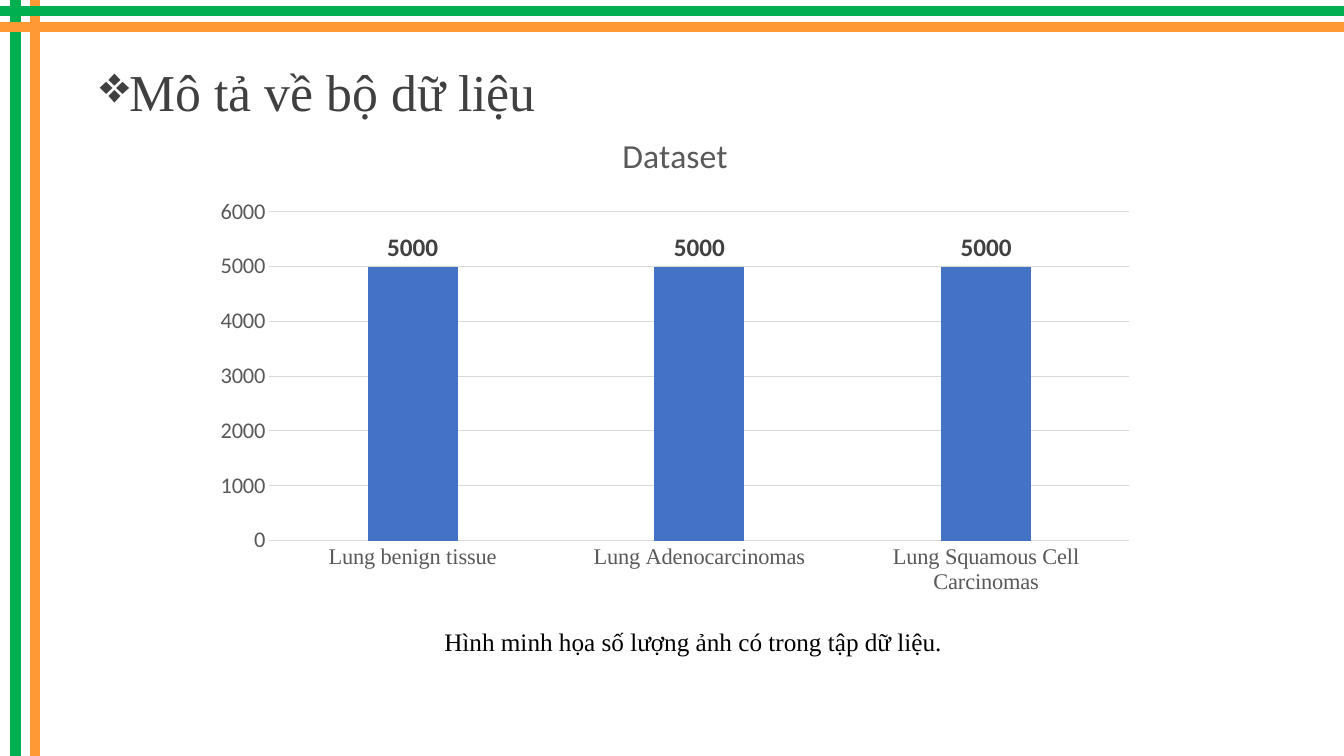
from lxml import etree
from pptx import Presentation
from pptx.chart.data import CategoryChartData
from pptx.dml.color import RGBColor
from pptx.enum.chart import XL_CHART_TYPE, XL_LABEL_POSITION, XL_TICK_MARK
from pptx.enum.shapes import MSO_SHAPE
from pptx.enum.text import MSO_ANCHOR, MSO_AUTO_SIZE, PP_ALIGN
from pptx.oxml.ns import qn
from pptx.util import Inches, Pt

COLUMN = XL_CHART_TYPE.COLUMN_CLUSTERED
OUTSIDE = XL_LABEL_POSITION.OUTSIDE_END
NO_TICK = XL_TICK_MARK.NONE
RECT = MSO_SHAPE.RECTANGLE
TOP = MSO_ANCHOR.TOP
FIT = MSO_AUTO_SIZE.SHAPE_TO_FIT_TEXT
LEFT, CENTER = PP_ALIGN.LEFT, PP_ALIGN.CENTER

# Content
TITLE = "Mô tả về bộ dữ liệu"
BULLET = "❖"
CAPTION = "Hình minh họa số lượng ảnh có trong tập dữ liệu."
HEAD = "Dataset"
DATA = {
    "Lung benign tissue": 5000,
    "Lung Adenocarcinomas": 5000,
    "Lung Squamous Cell Carcinomas": 5000,
}
SERIF, SANS = "Times New Roman", "Calibri"
COLORS = {
    "green": "00B050", "orange": "FF9933", "blue": "4472C4", "black": "000000",
    "dark": "404040", "gray": "595959", "grid": "D9D9D9",
}

# Layout in inches
WIDE, HIGH = 13.33, 7.5
BODY_X, BODY_W = 2, 9.39
CHART_Y, CHART_H = 1.11, 4.89
BAND_H, BAND_W = 14.51, 8.52
# colour, left of upright bar, its top, top of level bar
BANDS = [("green", 0.11, -0.51, 0.07), ("orange", 0.3, -0.31, 0.23)]


def rgb(name):
    return RGBColor.from_string(COLORS[name])


def box(*sides):
    return [Inches(side) for side in sides]


def style(font, face, size, color, bold=False):
    font.name, font.size, font.bold = face, Pt(size), bold
    font.color.rgb = rgb(color)


def write(para, text, face, size, color):
    run = para.add_run()
    run.text = text
    style(run.font, face, size, color)


def bar(slide, color, *place):
    shape = slide.shapes.add_shape(RECT, *box(*place))
    shape.shadow.inherit = False
    shape.fill.solid()
    shape.fill.fore_color.rgb = rgb(color)
    shape.line.color.rgb = rgb(color)
    shape.line.width = Pt(1)


def add_title(slide):
    title = slide.shapes.title
    title.left, title.top, title.width, title.height = box(0.89, 0.54, 4.86, 0.72)
    frame = title.text_frame
    frame.word_wrap, frame.auto_size = False, FIT
    frame.vertical_anchor = TOP
    para = frame.paragraphs[0]
    para.alignment = LEFT
    write(para, TITLE, SERIF, 37, "dark")
    props = para._p.get_or_add_pPr()
    props.set("marL", str(Inches(0.25)))
    props.set("indent", str(-Inches(0.25)))
    etree.SubElement(props, qn("a:buChar")).set("char", BULLET)


def add_caption(slide):
    frame = slide.shapes.add_textbox(*box(BODY_X + 0.18, 6.16, BODY_W, 0.4)).text_frame
    frame.word_wrap, frame.auto_size = True, FIT
    para = frame.paragraphs[0]
    para.alignment = CENTER
    write(para, CAPTION, SERIF, 18, "black")


def add_chart(slide):
    data = CategoryChartData()
    data.categories = list(DATA)
    data.add_series("Series 1", list(DATA.values()))
    place = box(BODY_X, CHART_Y, BODY_W, CHART_H)
    chart = slide.shapes.add_chart(COLUMN, *place, data).chart
    style(chart.font, SANS, 10, "black")
    chart.has_legend = False
    chart.has_title = True
    write(chart.chart_title.text_frame.paragraphs[0], HEAD, SANS, 24, "gray")
    chart.chart_title.include_in_layout = False

    # Axes
    cats, vals = chart.category_axis, chart.value_axis
    for axis, face in ((cats, SERIF), (vals, SANS)):
        axis.major_tick_mark = axis.minor_tick_mark = NO_TICK
        style(axis.tick_labels.font, face, 16, "gray")
    vals.minimum_scale, vals.maximum_scale, vals.major_unit = 0, 6000, 1000
    vals.has_major_gridlines = True
    vals.format.line.fill.background()
    for line in (cats.format.line, vals.major_gridlines.format.line):
        line.color.rgb = rgb("grid")
        line.width = Pt(0.75)

    # Columns and their labels
    plot = chart.plots[0]
    plot.gap_width, plot.overlap, plot.vary_by_categories = 219, -27, False
    series = plot.series[0]
    series.format.fill.solid()
    series.format.fill.fore_color.rgb = rgb("blue")
    labels = series.data_labels
    labels.show_value, labels.position = True, OUTSIDE
    style(labels.font, SANS, 18, "dark", True)


def main():
    deck = Presentation()
    deck.slide_width, deck.slide_height = box(WIDE, HIGH)
    slide = deck.slides.add_slide(deck.slide_layouts[5])
    add_caption(slide)
    add_title(slide)
    # Upright bars first, level bars over them
    for color, left, top, _ in BANDS:
        bar(slide, color, left, top, 0.09, BAND_W)
    for color, _, _, top in BANDS:
        bar(slide, color, -0.94, top, BAND_H, 0.08)
    add_chart(slide)
    deck.save("out.pptx")


if __name__ == "__main__":
    main()
